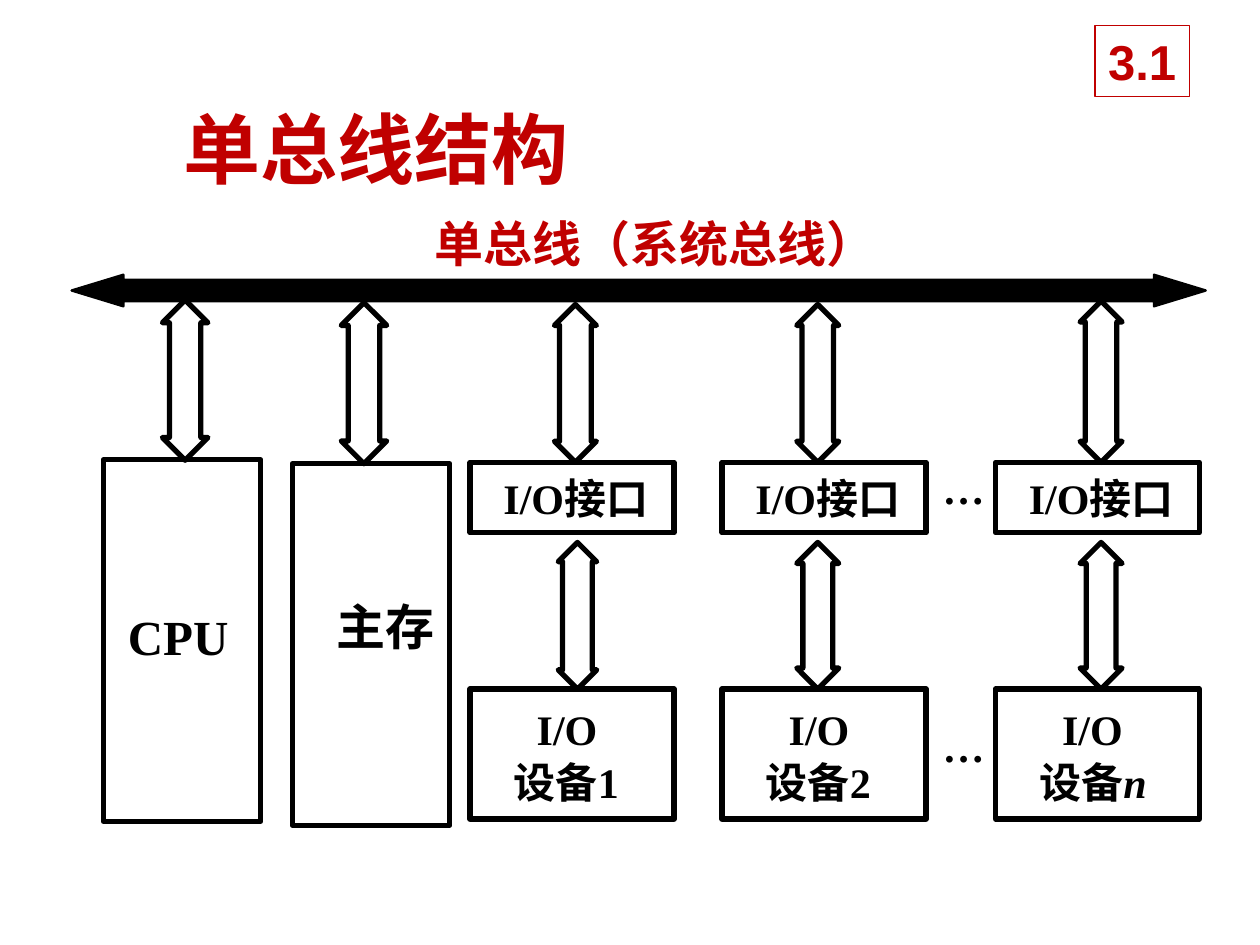
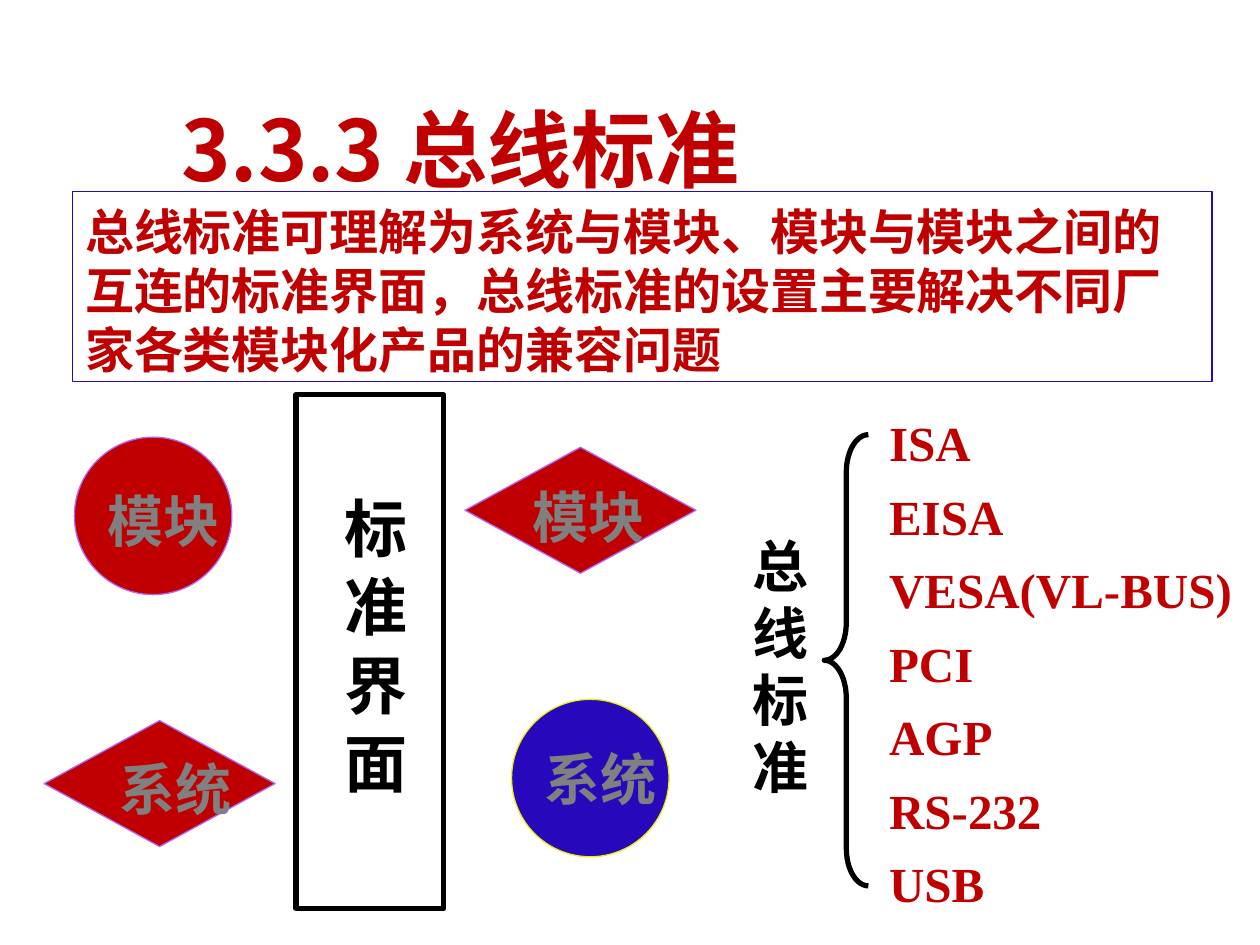
from lxml.etree import SubElement
from pptx import Presentation
from pptx.dml.color import RGBColor
from pptx.enum.shapes import MSO_SHAPE as Preset
from pptx.enum.text import MSO_ANCHOR as Anchor, PP_ALIGN as Align
from pptx.oxml.ns import qn
from pptx.util import Pt

RED, BLACK, WHITE, GREY = "C00000", "000000", "FFFFFF", "808080"
BLUE, VIOLET, YELLOW = "2709BB", "AF67FF", "EBF010"
SANS, SERIF, ARIAL = "Noto Sans CJK SC", "Times New Roman", "Arial"


def draw(slide, preset, left, top, width, height, fill=None, line=BLACK,
         weight=3, adjust=()):
    """Add a preset shape with a plain fill and a round-joined outline."""
    shape = slide.shapes.add_shape(preset, Pt(left), Pt(top), Pt(width), Pt(height))
    shape.shadow.inherit = False
    if fill:
        shape.fill.solid()
        shape.fill.fore_color.rgb = RGBColor.from_string(fill)
    else:
        shape.fill.background()
    shape.line.color.rgb = RGBColor.from_string(line)
    shape.line.width = Pt(weight)
    SubElement(shape._element.spPr.find(qn("a:ln")), qn("a:round"))
    for position, value in enumerate(adjust):
        shape.adjustments[position] = value
    return shape


def write(text, slide=None, at=None, shape=None, size=24, font=SERIF, color=BLACK,
          pitch=1.2, indents=(0,), inset=(0, 0), anchor=Anchor.TOP,
          align=Align.LEFT, italic_tail=""):
    """Write lines into a shape, or into a new text box placed at `at`."""
    if shape is None:
        shape = slide.shapes.add_textbox(*map(Pt, at))
    frame = shape.text_frame
    frame.word_wrap = True
    frame.vertical_anchor = anchor
    frame.margin_left = frame.margin_right = Pt(inset[0])
    frame.margin_top, frame.margin_bottom = Pt(inset[1]), Pt(0)
    for number, words in enumerate(text.split("\n")):
        paragraph = frame.paragraphs[0] if number == 0 else frame.add_paragraph()
        paragraph.alignment = align
        paragraph.line_spacing = Pt(round(size * pitch, 1))
        indent = indents[min(number, len(indents) - 1)]
        if indent:
            paragraph._p.get_or_add_pPr().set("marL", str(Pt(indent)))
        paragraph.add_run().text = words
        if italic_tail and number == text.count("\n"):
            tail = paragraph.add_run()
            tail.text = italic_tail
            tail.font.italic = True
        for run in paragraph.runs:
            run.font.name = font
            run.font.size = Pt(size)
            run.font.bold = True
            run.font.color.rgb = RGBColor.from_string(color)
            SubElement(run._r.get_or_add_rPr(), qn("a:ea")).set("typeface", SANS)
    return shape


deck = Presentation()
deck.slide_width, deck.slide_height = Pt(720), Pt(540)
blank = deck.slide_layouts[6]
title_style = dict(font=SANS, color=RED, inset=(7.2, 0))

# Slide 1: single bus structure
single_bus = deck.slides.add_slide(blank)
write("单总线结构", single_bus, (98, 58, 600, 53), size=44, **title_style)
write("单总线（系统总线）", single_bus, (248.4, 122, 270, 34), size=28,
      font=ARIAL, color=RED)
draw(single_bus, Preset.LEFT_RIGHT_ARROW, 41, 157, 648, 18, fill=BLACK,
     weight=1.38, adjust=(0.68, 1.64))

# CPU and main memory
for name, left, top, indent, drop in (("CPU", 59, 262.8, 7, 84),
                                      ("主存", 167, 265, 18, 76)):
    unit = draw(single_bus, Preset.RECTANGLE, left, top, 90, 206.6)
    write(name, shape=unit, size=28, indents=(indent,), inset=(7.2, drop))

# Interfaces above their devices
for left, number, tail in ((268.6, "1", ""), (412.6, "2", ""), (568.8, "", "n")):
    interface = draw(single_bus, Preset.RECTANGLE, left, 264.2, 116.6, 40.3)
    write("I/O接口", shape=interface, indents=(12,), inset=(7.2, 0),
          anchor=Anchor.MIDDLE)
    device = draw(single_bus, Preset.RECTANGLE, left, 393.8, 116.6, 74.2)
    write("I/O\n设备" + number, shape=device, pitch=1.25, indents=(31, 18),
          inset=(7.2, 0), anchor=Anchor.MIDDLE, italic_tail=tail)
for top in (264.5, 411.8):
    write("…", single_bus, (538.6, top, 32, 29))

# Two-way arrows: centre, top, width, bottom, head length
for centre, top, width, bottom, head in (
        (105.8, 171.4, 26, 263, 18), (208, 173, 26, 265, 18),
        (328.8, 174, 24, 264.2, 18), (467.3, 174, 24, 264.2, 18),
        (629.2, 172, 24, 264.2, 18), (330, 310, 22, 393.8, 17),
        (467.3, 310, 24, 393.8, 17), (629.2, 310, 24, 393.8, 17)):
    draw(single_bus, Preset.UP_DOWN_ARROW, centre - width / 2, top, width,
         bottom - top, adjust=(0.5, head / width))

section = draw(single_bus, Preset.RECTANGLE, 625.7, 14.4, 54, 41, fill=WHITE,
               line=RED, weight=0.75)
write("3.1", shape=section, size=28, font=ARIAL, color=RED,
      anchor=Anchor.MIDDLE, align=Align.CENTER)

# Slide 2: bus standards
standards = deck.slides.add_slide(blank)
write("3.3.3 总线标准", standards, (96.5, 55.5, 556, 58), size=48, **title_style)
definition = draw(standards, Preset.RECTANGLE, 41.6, 109.4, 651, 108.7,
                  fill=WHITE, line=BLUE, weight=0.75)
write("总线标准可理解为系统与模块、模块与模块之间的互连的标准界面，"
      "总线标准的设置主要解决不同厂家各类模块化产品的兼容问题",
      shape=definition, size=28, font=SANS, color=RED, inset=(7.2, 6))

# Modules and systems on both sides of the interface
for name, preset, left, top, width, height, fill, line, label_left, label_top in (
        ("模块", Preset.OVAL, 42.5, 249.8, 90, 90, RED, VIOLET, 54, 274),
        ("系统", Preset.OVAL, 292.3, 399.6, 90, 90, BLUE, YELLOW, 303.8, 421.5),
        ("系统", Preset.DIAMOND, 25.2, 411.8, 132, 72, RED, VIOLET, 60.5, 427.5),
        ("模块", Preset.DIAMOND, 265.7, 255.6, 132, 72, RED, VIOLET, 296.6, 272)):
    draw(standards, preset, left, top, width, height, fill, line, 0.75)
    write(name, standards, (label_left, label_top, 79.2, 46), size=32,
          color=GREY, anchor=Anchor.MIDDLE, inset=(0, 0), align=Align.CENTER
          ).text_frame.word_wrap = True

# Standard interface
draw(standards, Preset.RECTANGLE, 169.2, 225.4, 84.2, 293.8)
boundary = write("标 准 界 面", standards, (192, 284, 43.2, 220), size=36)
boundary.text_frame._txBody.bodyPr.set("vert", "eaVert")

# List of standards
write("总\n线\n标\n准", standards, (429.8, 303.6, 40, 156), size=32)
draw(standards, Preset.LEFT_BRACE, 471, 248.4, 25.2, 257.8, adjust=(0.85, 0.5))
write("ISA\nEISA\nVESA(VL-BUS)\nPCI\nAGP\nRS-232\nUSB", standards,
      (501, 224, 217, 301), size=28, color=RED, pitch=1.5, inset=(7.2, 3.6))

deck.save("out.pptx")
